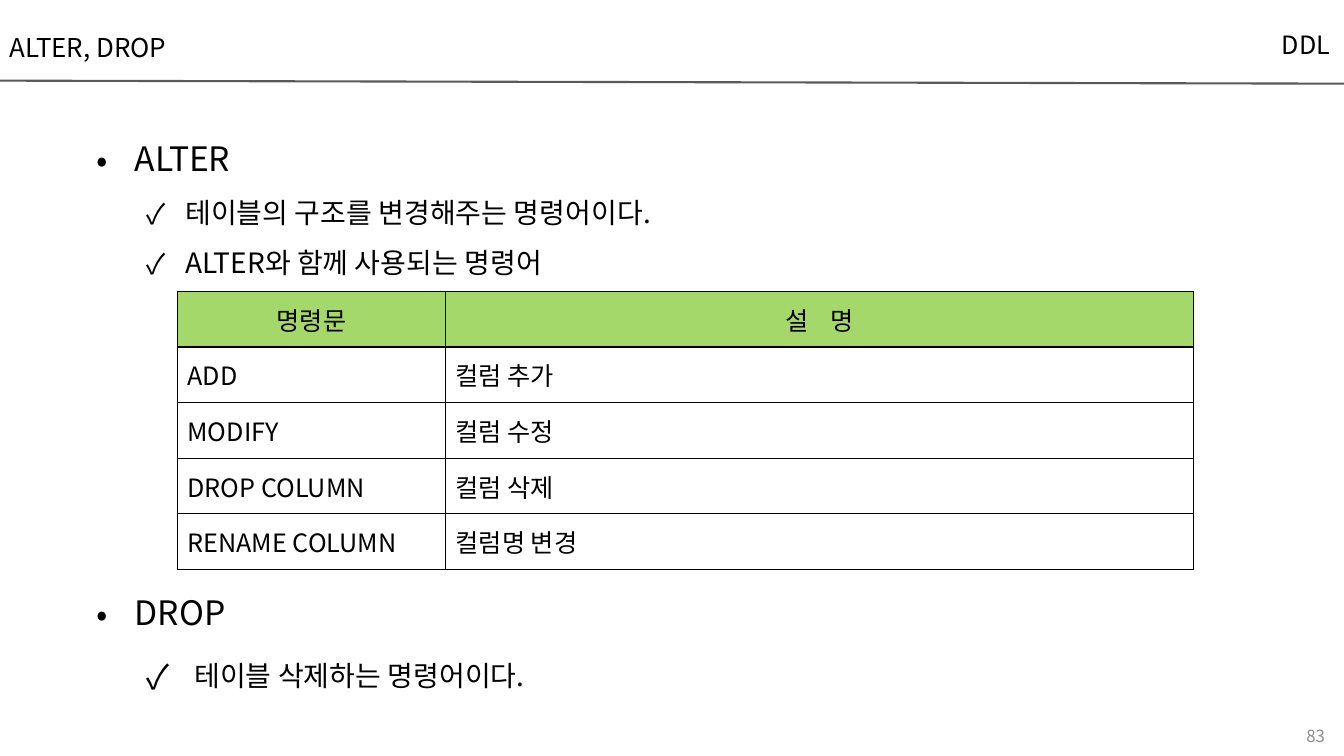
from lxml.etree import SubElement
from pptx import Presentation
from pptx.dml.color import RGBColor
from pptx.enum.shapes import MSO_CONNECTOR
from pptx.enum.text import MSO_ANCHOR, PP_ALIGN
from pptx.oxml.ns import qn
from pptx.util import Inches, Pt

THEME = {
    "font": "Noto Sans CJK KR",
    "text": RGBColor.from_string("000000"),
    "rule": RGBColor.from_string("595959"),
    "page": RGBColor.from_string("8C8C8C"),
    "header": RGBColor.from_string("A4D86A"),
    "border": "000000",
    "heading_size": 24,
    "point_size": 20,
    "topic_size": 18.5,
    "table_size": 18,
    "page_size": 12,
}


def write_text(paragraph, text, size, color=THEME["text"], **formats):
    run = paragraph.add_run()
    run.text = text
    run.font.size = Pt(size)
    run.font.name = THEME["font"]
    run.font.color.rgb = color
    SubElement(run.font._element, qn("a:ea"), typeface=THEME["font"])
    for name, value in formats.items():
        setattr(paragraph, name, value)
    return run


def add_text_frame(left, top, width, height, anchor):
    shape = slide.shapes.add_textbox(Inches(left), Inches(top), Inches(width), Inches(height))
    shape.text_frame.word_wrap = True
    shape.text_frame.vertical_anchor = anchor
    return shape.text_frame


presentation = Presentation()
presentation.slide_width = Inches(13.33)
presentation.slide_height = Inches(7.5)
slide = presentation.slides.add_slide(presentation.slide_layouts[6])

rule = slide.shapes.add_connector(
    MSO_CONNECTOR.STRAIGHT, Inches(0), Inches(0.8), Inches(13.33), Inches(0.83)
)
rule.line.color.rgb = THEME["rule"]
rule.line.width = Pt(1.5)
SubElement(rule._element.spPr, qn("a:effectLst"))

labels = [
    ("DDL", (9.5, 0.12, 3.79, 0.68), THEME["table_size"], THEME["text"],
     {"alignment": PP_ALIGN.RIGHT, "line_spacing": 0.9}),
    ("ALTER, DROP", (0, 0, 5.2, 0.68), THEME["topic_size"], THEME["text"],
     {"line_spacing": 1.8}),
    ("83", (10.24, 7.1, 3, 0.4), THEME["page_size"], THEME["page"],
     {"alignment": PP_ALIGN.RIGHT}),
]
for text, place, size, color, formats in labels:
    frame = add_text_frame(*place, MSO_ANCHOR.MIDDLE)
    write_text(frame.paragraphs[0], text, size, color, **formats)

HEADING = {"size": THEME["heading_size"], "bullet": "•", "bullet_scale": 100,
           "margin": 0.38, "hanging": 0.38, "level": 0, "space": 0}
POINT = {"size": THEME["point_size"], "bullet": "✓", "bullet_scale": 100,
         "margin": 0.88, "hanging": 0.38, "level": 1, "space": 0}
WIDE_POINT = POINT | {"bullet_scale": 120, "margin": 0.97, "hanging": 0.47, "space": 7}

sections = [
    (1.12, 1.7, [
        ("ALTER", HEADING),
        ("테이블의 구조를 변경해주는 명령어이다.", POINT),
        ("ALTER와 함께 사용되는 명령어", POINT),
    ]),
    (5.62, 1.3, [
        ("DROP", HEADING),
        ("테이블 삭제하는 명령어이다.", WIDE_POINT),
    ]),
]
for top, height, items in sections:
    frame = add_text_frame(0.86, top, 11.74, height, MSO_ANCHOR.TOP)
    for index, (text, style) in enumerate(items):
        paragraph = frame.add_paragraph() if index else frame.paragraphs[0]
        properties = paragraph._p.get_or_add_pPr()
        properties.set("marL", str(Inches(style["margin"])))
        properties.set("indent", str(-Inches(style["hanging"])))
        SubElement(properties, qn("a:buSzPct"), val=str(style["bullet_scale"] * 1000))
        SubElement(properties, qn("a:buFont"), typeface=THEME["font"])
        SubElement(properties, qn("a:buChar"), char=style["bullet"])
        write_text(paragraph, text, style["size"], level=style["level"],
                   line_spacing=1.5, space_before=Pt(style["space"]))

commands = [
    ("명령문", "설 명"),
    ("ADD", "컬럼 추가"),
    ("MODIFY", "컬럼 수정"),
    ("DROP COLUMN", "컬럼 삭제"),
    ("RENAME COLUMN", "컬럼명 변경"),
]
table = slide.shapes.add_table(
    len(commands), 2, Inches(1.76), Inches(2.89), Inches(10.08), Inches(2.76)
).table
table.horz_banding = False
for column, width in zip(table.columns, (2.66, 7.42)):
    column.width = Inches(width)

for row_index, command in enumerate(commands):
    for column_index, text in enumerate(command):
        cell = table.cell(row_index, column_index)
        cell.vertical_anchor = MSO_ANCHOR.MIDDLE
        properties = cell._tc.get_or_add_tcPr()
        for side in ("a:lnL", "a:lnR", "a:lnT", "a:lnB"):
            border = SubElement(properties, qn(side), w=str(Pt(1)))
            fill = SubElement(border, qn("a:solidFill"))
            SubElement(fill, qn("a:srgbClr"), val=THEME["border"])
        if row_index == 0:
            cell.fill.solid()
            cell.fill.fore_color.rgb = THEME["header"]
        else:
            cell.fill.background()
        run = write_text(cell.text_frame.paragraphs[0], text, THEME["table_size"],
                         alignment=PP_ALIGN.LEFT if row_index else PP_ALIGN.CENTER)
        if text == "설 명":
            run.font._element.set("spc", "550")

presentation.save("out.pptx")
